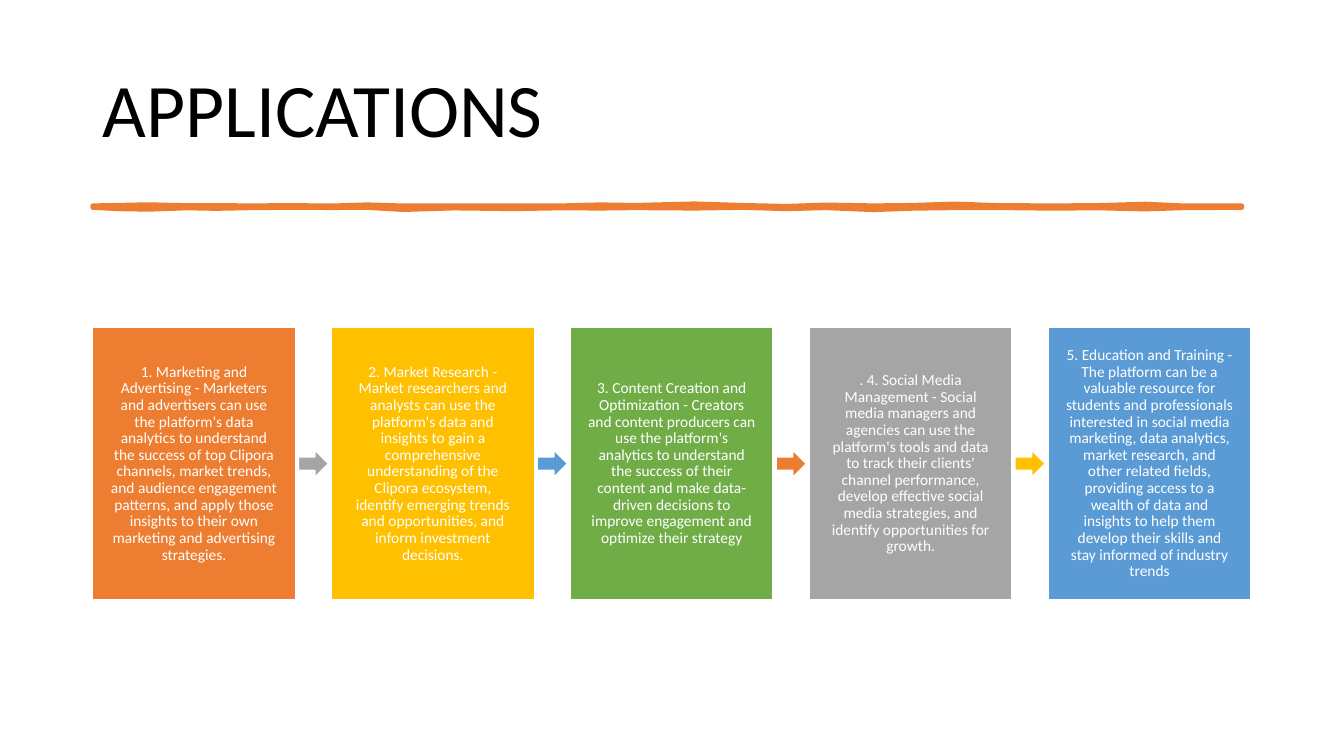
from dataclasses import dataclass
from typing import Any

from pptx import Presentation
from pptx.dml.color import RGBColor
from pptx.enum.shapes import MSO_SHAPE as Preset
from pptx.enum.text import MSO_ANCHOR as Anchor, MSO_AUTO_SIZE as AutoSize, PP_ALIGN as Align
from pptx.util import Pt


@dataclass(frozen=True)
class Theme:
    font: str = "Calibri"
    title_size: float = 54
    body_size: float = 11
    black: str = "000000"
    white: str = "FFFFFF"
    orange: str = "ED7D31"
    yellow: str = "FFC000"
    green: str = "70AD47"
    gray: str = "A5A5A5"
    blue: str = "5B9BD5"


@dataclass(frozen=True)
class Step:
    text: str
    color: str
    arrow_color: str | None = None


@dataclass(frozen=True)
class Area:
    left: float
    top: float
    width: float
    height: float

    def lengths(self) -> tuple:
        return Pt(self.left), Pt(self.top), Pt(self.width), Pt(self.height)


@dataclass(frozen=True)
class Bulge:
    x: float
    above: float
    below: float


THEME = Theme()
TITLE = Area(66.24, 28.8, 828, 104.4)
FIRST_BOX = Area(66.24, 234, 144.72, 194.4)
ARROW_WIDTH, ARROW_HEIGHT = 21.6, 19.44
PITCH = 170.64
BOX_INSET = 12.24
RULE_Y = 147.6

STEPS = [
    Step("1. Marketing and Advertising - Marketers and advertisers can use the platform's data "
         "analytics to understand the success of top Clipora channels, market trends, and audience "
         "engagement patterns, and apply those insights to their own marketing and advertising "
         "strategies.", THEME.orange, THEME.gray),
    Step("2. Market Research - Market researchers and analysts can use the platform's data and "
         "insights to gain a comprehensive understanding of the Clipora ecosystem, identify "
         "emerging trends and opportunities, and inform investment decisions.",
         THEME.yellow, THEME.blue),
    Step("3. Content Creation and Optimization - Creators and content producers can use the "
         "platform's analytics to understand the success of their content and make data-driven "
         "decisions to improve engagement and optimize their strategy", THEME.green, THEME.orange),
    Step(". 4. Social Media Management - Social media managers and agencies can use the "
         "platform's tools and data to track their clients' channel performance, develop "
         "effective social media strategies, and identify opportunities for growth.",
         THEME.gray, THEME.yellow),
    Step("5. Education and Training - The platform can be a valuable resource for students and "
         "professionals interested in social media marketing, data analytics, market research, "
         "and other related fields, providing access to a wealth of data and insights to help "
         "them develop their skills and stay informed of industry trends", THEME.blue),
]

# Half thickness of the hand-drawn rule on each side of its centre
BULGES = [
    Bulge(66.24, 0.7, 0.7), Bulge(84, 1, 1.6), Bulge(106, 1.5, 2), Bulge(134, 0.8, 1),
    Bulge(154, 0.9, 1.4), Bulge(180, 0.7, 0.9), Bulge(208, 0.9, 0.7), Bulge(238, 0.6, 0.8),
    Bulge(262, 1.4, 0.7), Bulge(288, 0.6, 2.2), Bulge(324, 0.7, 1.1), Bulge(367, 0.6, 1.6),
    Bulge(402, 0.7, 1), Bulge(428, 1.4, 1.2), Bulge(454, 1, 0.9), Bulge(496, 2.1, 1.2),
    Bulge(530, 1, 0.7), Bulge(562, 0.3, 1.6), Bulge(590, 1.3, 0.9), Bulge(624, 0.7, 2.3),
    Bulge(652, 1, 1.3), Bulge(682, 2, 0.9), Bulge(712, 0.9, 0.8), Bulge(752, 0.7, 1.3),
    Bulge(784, 0.9, 1), Bulge(818, 1.9, 1.8), Bulge(846, 0.6, 0.9), Bulge(887.04, 0.7, 0.7),
]


def apply(target: Any, values: dict[str, Any]) -> None:
    for name, value in values.items():
        setattr(target, name, value)


def paint(shape: Any, fill: str, line: str, line_width: float) -> None:
    shape.shadow.inherit = False
    shape.fill.solid()
    shape.fill.fore_color.rgb = RGBColor.from_string(fill)
    shape.line.color.rgb = RGBColor.from_string(line)
    shape.line.width = Pt(line_width)


def write(shape: Any, text: str, size: float, color: str, align: Any,
          space_after: float, insets: tuple[float, float]) -> None:
    side, end = (Pt(inset) for inset in insets)
    frame = shape.text_frame
    apply(frame, {"word_wrap": True, "auto_size": AutoSize.NONE,
                  "vertical_anchor": Anchor.MIDDLE, "margin_left": side,
                  "margin_right": side, "margin_top": end, "margin_bottom": end})
    para = frame.paragraphs[0]
    apply(para, {"alignment": align, "line_spacing": 0.9,
                 "space_before": Pt(0), "space_after": Pt(space_after)})
    span = para.add_run()
    span.text = text
    apply(span.font, {"name": THEME.font, "size": Pt(size)})
    span.font.color.rgb = RGBColor.from_string(color)


def draw_title(page: Any) -> None:
    title = page.shapes.title
    apply(title, dict(zip(("left", "top", "width", "height"), TITLE.lengths())))
    write(title, "APPLICATIONS", THEME.title_size, THEME.black, Align.LEFT, 6, (7.2, 3.6))


def draw_rule(page: Any) -> None:
    upper = [(Pt(bulge.x), Pt(RULE_Y - bulge.above)) for bulge in BULGES]
    lower = [(Pt(bulge.x), Pt(RULE_Y + bulge.below)) for bulge in reversed(BULGES)]
    outline = page.shapes.build_freeform(*upper[0])
    outline.add_line_segments(upper[1:] + lower, close=True)
    paint(outline.convert_to_shape(), THEME.orange, THEME.orange, 3.25)


def draw_step(page: Any, step: Step, left: float) -> None:
    area = Area(left, FIRST_BOX.top, FIRST_BOX.width, FIRST_BOX.height)
    box = page.shapes.add_shape(Preset.RECTANGLE, *area.lengths())
    paint(box, step.color, THEME.white, 1)
    write(box, step.text, THEME.body_size, THEME.white, Align.CENTER, 3.85,
          (BOX_INSET, BOX_INSET))
    if step.arrow_color:
        gap = PITCH - area.width
        place = Area(left + area.width + (gap - ARROW_WIDTH) / 2,
                     area.top + (area.height - ARROW_HEIGHT) / 2, ARROW_WIDTH, ARROW_HEIGHT)
        arrow = page.shapes.add_shape(Preset.RIGHT_ARROW, *place.lengths())
        paint(arrow, step.arrow_color, THEME.white, 1)


def main() -> None:
    deck = Presentation()
    apply(deck, {"slide_width": Pt(960), "slide_height": Pt(540)})
    page = deck.slides.add_slide(deck.slide_layouts[5])

    # Heading and rule
    draw_title(page)
    draw_rule(page)

    # Row of steps
    for index, step in enumerate(STEPS):
        draw_step(page, step, FIRST_BOX.left + index * PITCH)

    deck.save("out.pptx")


if __name__ == "__main__":
    main()
